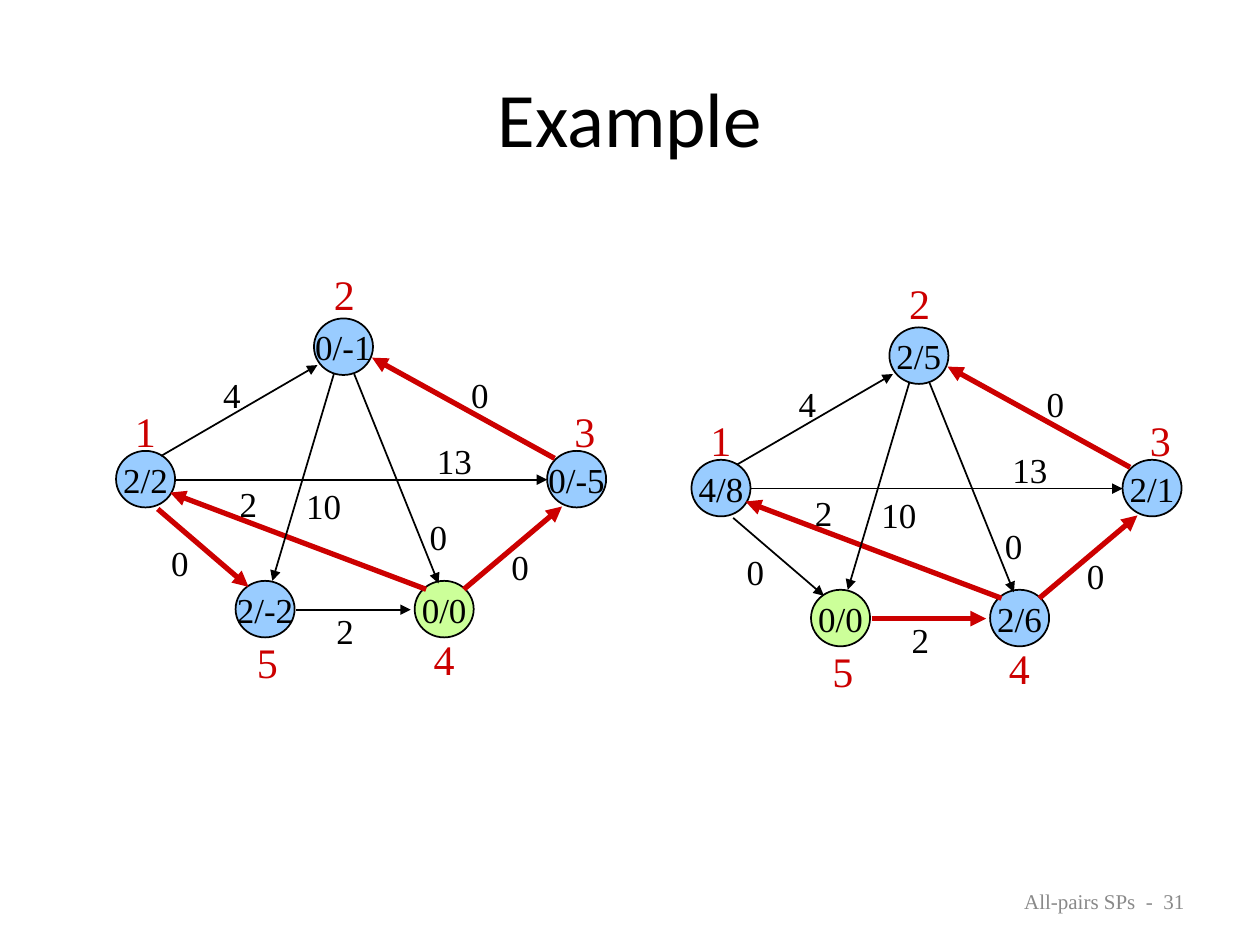
from lxml.etree import SubElement
from pptx import Presentation
from pptx.dml.color import RGBColor
from pptx.enum.shapes import MSO_CONNECTOR as CONN, MSO_SHAPE as SHAPE
from pptx.enum.text import MSO_ANCHOR as ANCHOR, MSO_AUTO_SIZE as AUTO, PP_ALIGN as ALIGN
from pptx.oxml.ns import qn
from pptx.util import Cm, Pt

BLACK = RGBColor(0x00, 0x00, 0x00)
RED = RGBColor(0xCC, 0x00, 0x00)
BLUE = RGBColor(0x99, 0xCC, 0xFF)
GREEN = RGBColor(0xCC, 0xFF, 0x99)
GRAY = RGBColor(0x89, 0x89, 0x89)
SERIF = "Times New Roman"

NODE_W, NODE_H = 1.19, 1.14
NODES = {
    1: (0, 3.81),
    5: (2.41, 6.43),
    4: (6.02, 6.43),
    2: (3.99, 1.14),
    3: (8.69, 3.81),
}
NUMBERS = {
    1: (0.13, 2.77),
    2: (4.14, 0),
    3: (8.99, 2.77),
    4: (6.15, 7.37),
    5: (2.59, 7.42),
}
EDGES = {
    (5, 4): (3.63, 7.01, 5.94, 7.01),
    (1, 5): (0.84, 4.98, 2.67, 6.55),
    (4, 1): (6.25, 6.6, 1.09, 4.65),
    (1, 3): (1.19, 4.39, 8.69, 4.39),
    (4, 3): (7.01, 6.6, 8.99, 4.93),
    (1, 2): (0.91, 3.91, 4.06, 2.08),
    (3, 2): (8.84, 3.96, 5.16, 1.93),
    (2, 5): (4.39, 2.26, 3.15, 6.43),
    (2, 4): (4.8, 2.26, 6.5, 6.48),
}
WEIGHTS = {
    (1, 2): ("4", 1.91, 2.13),
    (3, 2): ("0", 6.91, 2.13),
    (1, 3): ("13", 6.22, 3.45),
    (2, 5): ("10", 3.58, 4.37),
    (2, 4): ("0", 6.07, 4.98),
    (4, 3): ("0", 7.72, 5.59),
    (5, 4): ("2", 4.19, 6.88),
    (1, 5): ("0", 0.86, 5.51),
    (4, 1): ("2", 2.24, 4.32),
}


def set_text(sp, text, size, color, align, name=SERIF):
    tf = sp.text_frame
    tf.text = text
    p = tf.paragraphs[0]
    p.alignment = align
    p.font.name = name
    p.font.size = Pt(size)
    p.font.color.rgb = color
    return tf


def add_node(shapes, x, y, text, fill):
    sp = shapes.add_shape(SHAPE.OVAL, Cm(x), Cm(y), Cm(NODE_W), Cm(NODE_H))
    sp.shadow.inherit = False
    sp.fill.solid()
    sp.fill.fore_color.rgb = fill
    sp.line.color.rgb = BLACK
    sp.line.width = Pt(1)
    tf = set_text(sp, text, 20, BLACK, ALIGN.CENTER)
    tf.word_wrap = False
    tf.vertical_anchor = ANCHOR.MIDDLE


def add_edge(shapes, x1, y1, x2, y2, on_tree):
    c = shapes.add_connector(CONN.STRAIGHT, Cm(x1), Cm(y1), Cm(x2), Cm(y2))
    c.line.color.rgb = RED if on_tree else BLACK
    c.line.width = Pt(3 if on_tree else 1)
    SubElement(c.line._get_or_add_ln(), qn("a:tailEnd"), type="triangle")
    SubElement(c._element.spPr, qn("a:effectLst"))


def add_label(shapes, x, y, w, h, text, size, color):
    sp = shapes.add_textbox(Cm(x), Cm(y), Cm(w), Cm(h))
    tf = set_text(sp, text, size, color, ALIGN.LEFT)
    tf.word_wrap = False
    tf.auto_size = AUTO.SHAPE_TO_FIT_TEXT


def add_graph(slide, left, top, values, source, tree):
    shapes = slide.shapes.add_group_shape().shapes
    for node, (x, y) in NODES.items():
        fill = GREEN if node == source else BLUE
        add_node(shapes, left + x, top + y, values[node], fill)
    for edge, (x1, y1, x2, y2) in EDGES.items():
        add_edge(shapes, left + x1, top + y1, left + x2, top + y2, edge in tree)
    for node, (x, y) in NUMBERS.items():
        add_label(shapes, left + x, top + y, 0.91, 1.27, str(node), 24, RED)
    for weight, x, y in WEIGHTS.values():
        w = 0.5 + 0.36 * len(weight)
        add_label(shapes, left + x, top + y, w, 1.12, weight, 20, BLACK)


def add_title(slide, left, top, width, height):
    sp = slide.shapes.title
    sp.left, sp.top, sp.width, sp.height = Cm(left), Cm(top), Cm(width), Cm(height)
    tf = set_text(sp, "Example", 44, BLACK, ALIGN.CENTER, "Calibri")
    tf.vertical_anchor = ANCHOR.MIDDLE


def add_footer(slide, left, top, width, height):
    sp = slide.shapes.add_textbox(Cm(left), Cm(top), Cm(width), Cm(height))
    tf = set_text(sp, "All-pairs SPs  -  31", 12, GRAY, ALIGN.RIGHT)
    tf.word_wrap = True
    tf.vertical_anchor = ANCHOR.MIDDLE


def main():
    prs = Presentation()
    prs.slide_width, prs.slide_height = Cm(25.4), Cm(19.05)
    s = prs.slides.add_slide(prs.slide_layouts[5])
    add_title(s, 1.27, 0.76, 22.86, 3.18)
    add_footer(s, 18.21, 17.65, 5.92, 1.02)
    shared = {(4, 1), (4, 3), (3, 2)}
    add_graph(s, 2.34, 5.28,
              {1: "2/2", 2: "0/-1", 3: "0/-5", 4: "0/0", 5: "2/-2"},
              4, shared | {(1, 5)})
    add_graph(s, 13.94, 5.46,
              {1: "4/8", 2: "2/5", 3: "2/1", 4: "2/6", 5: "0/0"},
              5, shared | {(5, 4)})
    prs.save("out.pptx")


if __name__ == "__main__":
    main()
